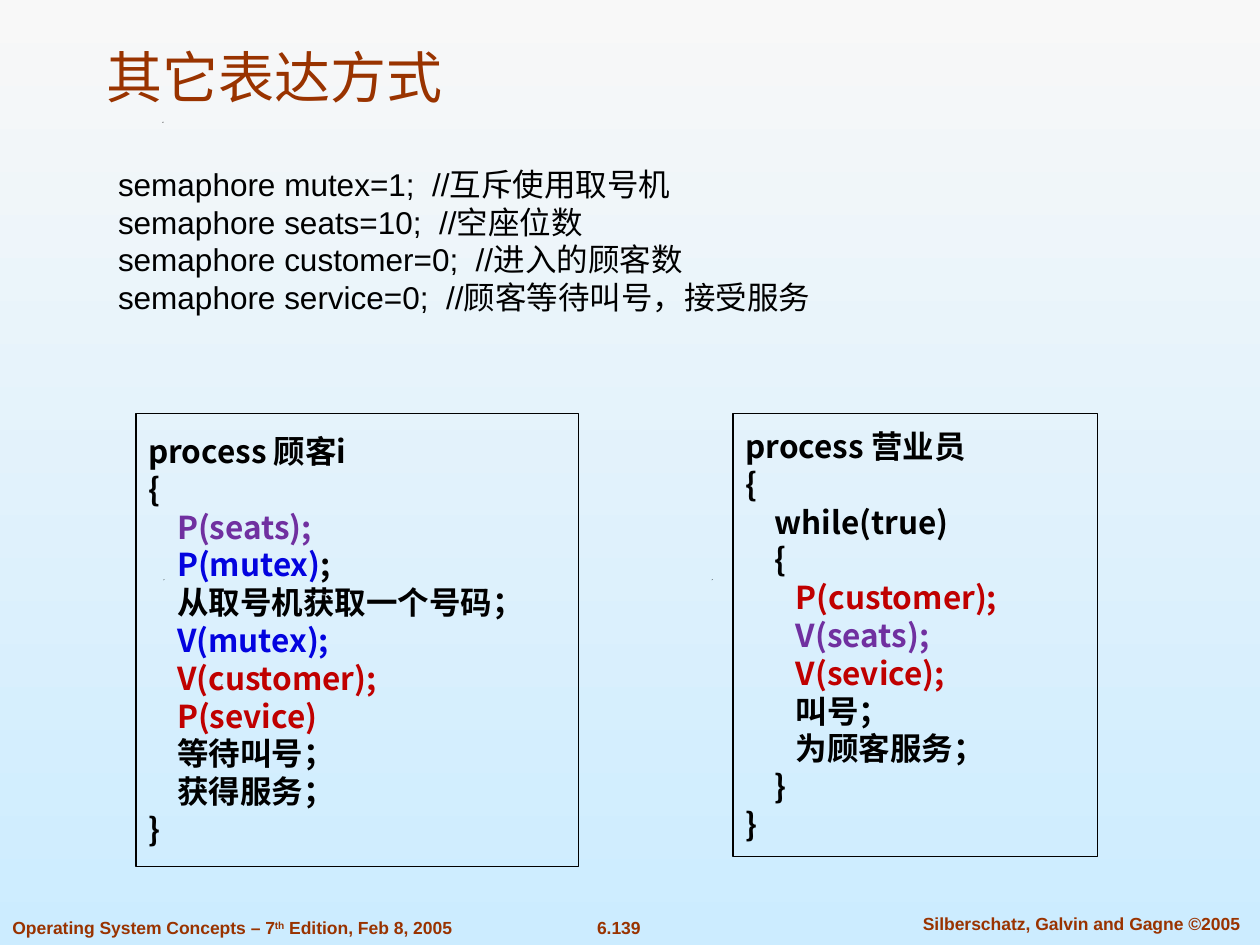
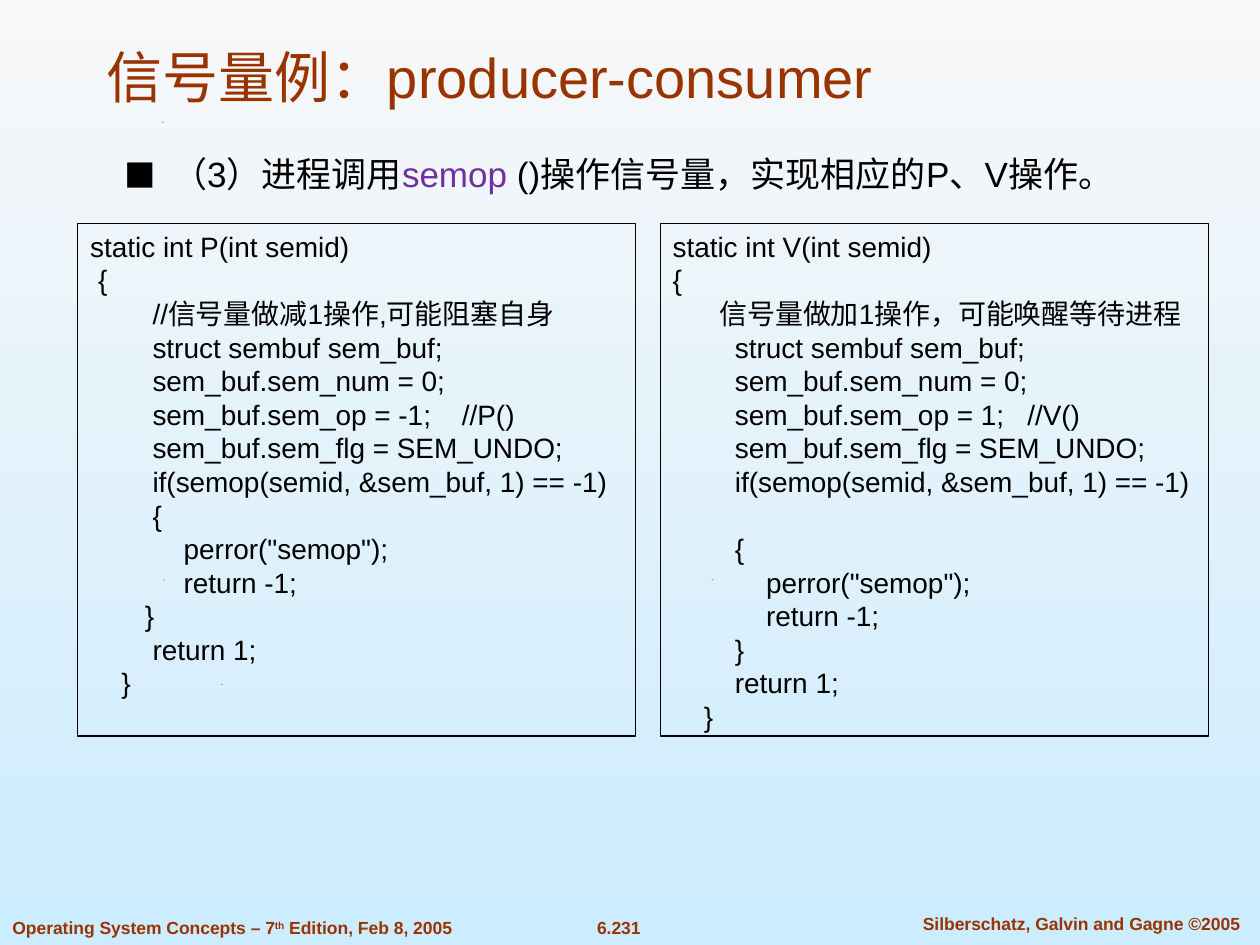
from dataclasses import dataclass
from typing import NamedTuple

from lxml import etree
from pptx import Presentation
from pptx.dml.color import RGBColor
from pptx.enum.shapes import MSO_SHAPE
from pptx.enum.text import MSO_ANCHOR, PP_ALIGN
from pptx.oxml.ns import qn
from pptx.util import Cm, Pt

LEFT, CENTER = PP_ALIGN.LEFT, PP_ALIGN.CENTER
TOP, MIDDLE, BOTTOM = MSO_ANCHOR.TOP, MSO_ANCHOR.MIDDLE, MSO_ANCHOR.BOTTOM
RECT = MSO_SHAPE.RECTANGLE


@dataclass(frozen=True)
class Theme:
    sky_top: RGBColor = RGBColor(0xF8, 0xF8, 0xF8)
    sky_bottom: RGBColor = RGBColor(0xCC, 0xEC, 0xFF)
    rust: RGBColor = RGBColor(0x99, 0x33, 0x00)
    black: RGBColor = RGBColor(0, 0, 0)
    purple: RGBColor = RGBColor(0x70, 0x30, 0xA0)
    blue: RGBColor = RGBColor(0x03, 0x03, 0xDF)
    red: RGBColor = RGBColor(0xC0, 0x00, 0x00)
    latin: str = "Arial"
    cjk: str = "Noto Sans CJK SC"
    title: int = 32
    bullet: int = 20
    body: int = 18
    code: int = 16
    footer: int = 10
    leading: float = 1.2


T = Theme()


class Box(NamedTuple):
    left: float
    top: float
    width: float
    height: float

    def lengths(self) -> tuple:
        return tuple(Cm(v) for v in self)


class Style(NamedTuple):
    size: int
    color: RGBColor = T.black
    font: str = T.latin
    bold: bool = False
    align: PP_ALIGN = LEFT
    anchor: MSO_ANCHOR = TOP
    space: float = 0


class Span(NamedTuple):
    text: str
    color: RGBColor | None = None
    raised: bool = False


class Line(NamedTuple):
    spans: tuple
    indent: int = 0
    after: float = 0


def line(text: str, indent: int = 0, color: RGBColor | None = None, after: float = 0) -> Line:
    return Line((Span(text, color),), indent, after)


TITLE = Style(T.title, T.rust, anchor=BOTTOM)
FOOTER = Style(T.footer, T.rust, bold=True)
FOOTER_MID = FOOTER._replace(align=CENTER)
BULLET = Style(T.bullet)
BODY = Style(T.body)
PROCESS = Style(T.body, font=T.cjk, bold=True, anchor=MIDDLE, space=0.145)
CODE = Style(T.code, space=0.157)

TITLE_BOX = Box(1.9, 0.64, 22.43, 1.7)
EDITION_BOX = Box(0, 18.36, 10.44, 0.69)
NUMBER_BOX = Box(11.66, 18.36, 1.63, 0.69)
AUTHORS_BOX = Box(18.03, 18.29, 7.54, 0.69)
SPECKS = ((4.47, 13.79), (3.3, 11.68), (14.35, 11.68), (3.28, 2.46))
SPECK_SIZE = 0.02

EDITION = Line((
    Span("Operating System Concepts – 7"),
    Span("th", raised=True),
    Span(" Edition, Feb 8, 2005"),
))


def write(tf, lines: list[Line], style: Style) -> None:
    tf.word_wrap = True
    tf.vertical_anchor = style.anchor
    for i, item in enumerate(lines):
        p = tf.paragraphs[0] if i == 0 else tf.add_paragraph()
        p.alignment = style.align
        p.line_spacing = Pt(style.size * T.leading)
        p.space_after = Pt(item.after)
        if item.indent:
            p._p.get_or_add_pPr().set("marL", str(Cm(item.indent * style.space)))
        p.font.name = style.font
        p.font.size = Pt(style.size)
        p.font.bold = style.bold
        p.font.color.rgb = style.color
        latin = p.font._element.find(qn("a:latin"))
        ea = etree.Element(qn("a:ea"), typeface=T.cjk)
        latin.addnext(ea)
        for span in item.spans:
            r = p.add_run()
            r.text = span.text
            if span.color is not None:
                r.font.color.rgb = span.color
            if span.raised:
                r.font._element.set("baseline", "30000")


def add_text(s, box: Box, lines: list[Line], style: Style):
    sp = s.shapes.add_textbox(*box.lengths())
    write(sp.text_frame, lines, style)
    return sp


def add_frame(s, box: Box, lines: list[Line], style: Style) -> None:
    sp = s.shapes.add_shape(RECT, *box.lengths())
    sp.shadow.inherit = False
    sp.fill.background()
    sp.line.color.rgb = T.black
    sp.line.width = Pt(0.75)
    write(sp.text_frame, lines, style)


def add_speck(s, x: float, y: float) -> None:
    fb = s.shapes.build_freeform(Cm(x), Cm(y + SPECK_SIZE))
    fb.add_line_segments([(Cm(x + SPECK_SIZE), Cm(y)), (Cm(x), Cm(y))])
    sp = fb.convert_to_shape()
    sp.shadow.inherit = False
    sp.fill.solid()
    sp.fill.fore_color.rgb = T.black
    sp.line.fill.background()


def add_bullet(p) -> None:
    pPr = p._p.get_or_add_pPr()
    pPr.set("marL", str(Cm(0.96)))
    pPr.set("indent", str(-Cm(0.96)))
    defaults = pPr.find(qn("a:defRPr"))
    for tag, attrs in (
        ("a:buSzPct", {"val": "90000"}),
        ("a:buFont", {"typeface": T.cjk}),
        ("a:buChar", {"char": "■"}),
    ):
        defaults.addprevious(etree.Element(qn(tag), attrs))


def new_slide(prs, title: str, number: str):
    s = prs.slides.add_slide(prs.slide_layouts[6])
    fill = s.background.fill
    fill.gradient()
    fill.gradient_angle = 270
    for stop, color in zip(fill.gradient_stops, (T.sky_top, T.sky_bottom)):
        stop.color.rgb = color
    for x, y in SPECKS:
        add_speck(s, x, y)
    add_text(s, EDITION_BOX, [EDITION], FOOTER)
    add_text(s, NUMBER_BOX, [line(number)], FOOTER_MID)
    add_text(s, AUTHORS_BOX, [line("Silberschatz, Galvin and Gagne ©2005")], FOOTER_MID)
    add_text(s, TITLE_BOX, [line(title)], TITLE)
    return s


def semaphore_slide(prs) -> None:
    s = new_slide(prs, "其它表达方式", "6.139")
    semaphores = (
        ("mutex=1", "互斥使用取号机"),
        ("seats=10", "空座位数"),
        ("customer=0", "进入的顾客数"),
        ("service=0", "顾客等待叫号，接受服务"),
    )
    declarations = [line(f"semaphore {init};  //{note}") for init, note in semaphores]
    add_text(s, Box(2.13, 3.2, 20.93, 4.37), declarations, BODY)
    customer = [
        line("process 顾客i"),
        line("{"),
        line("P(seats);", 4, T.purple),
        Line((Span("P(mutex)", T.blue), Span(";")), 4),
        line("从取号机获取一个号码；", 4),
        line("V(mutex);", 4, T.blue),
        line("V(customer);", 4, T.red),
        line("P(sevice)", 4, T.red),
        line("等待叫号；", 4),
        line("获得服务；", 4),
        line("}"),
    ]
    clerk = [
        line("process 营业员"),
        line("{"),
        line("while(true)", 4),
        line("{", 4),
        line("P(customer);", 7, T.red),
        line("V(seats);", 7, T.purple),
        line("V(sevice);", 7, T.red),
        line("叫号；", 7),
        line("为顾客服务；", 7),
        line("}", 4),
        line("}"),
    ]
    add_frame(s, Box(2.74, 8.33, 8.92, 9.14), customer, PROCESS)
    add_frame(s, Box(14.78, 8.33, 7.34, 8.94), clerk, PROCESS)


def semop_code(name: str, opening: int, note: Line, op: str, after_if: float, closing: int) -> list[Line]:
    return [
        line(f"static int {name}(int semid)"),
        line("{", opening),
        note,
        line("struct sembuf sem_buf;", 8),
        line("sem_buf.sem_num = 0;", 8),
        line(f"sem_buf.sem_op = {op}//{name}()", 8),
        line("sem_buf.sem_flg = SEM_UNDO;", 8),
        line("if(semop(semid, &sem_buf, 1) == -1)", 8, after=after_if),
        line("{", 8),
        line('perror("semop");', 12),
        line("return -1;", 12),
        line("}", closing),
        line("return 1;", 8),
        line("}", 4),
    ]


def producer_consumer_slide(prs) -> None:
    s = new_slide(prs, "信号量例：producer-consumer", "6.231")
    step = Line((
        Span("（3）进程调用"),
        Span("semop", T.purple),
        Span(" ()操作信号量，实现相应的P、V操作。"),
    ))
    sp = add_text(s, Box(2.26, 2.95, 22.07, 1.12), [step], BULLET)
    add_bullet(sp.text_frame.paragraphs[0])
    wait = semop_code("P", 1, line("//信号量做减1操作,可能阻塞自身", 8), "-1;    ", 0, 7)
    signal = semop_code("V", 0, line("信号量做加1操作，可能唤醒等待进程", 6), "1;   ",
                        T.code * T.leading, 8)
    add_frame(s, Box(1.57, 4.5, 11.25, 10.34), wait, CODE)
    add_frame(s, Box(13.31, 4.5, 11.05, 10.34), signal, CODE)


def main() -> None:
    prs = Presentation()
    prs.slide_width, prs.slide_height = Cm(25.4), Cm(19.05)
    semaphore_slide(prs)
    producer_consumer_slide(prs)
    prs.save("out.pptx")


if __name__ == "__main__":
    main()
